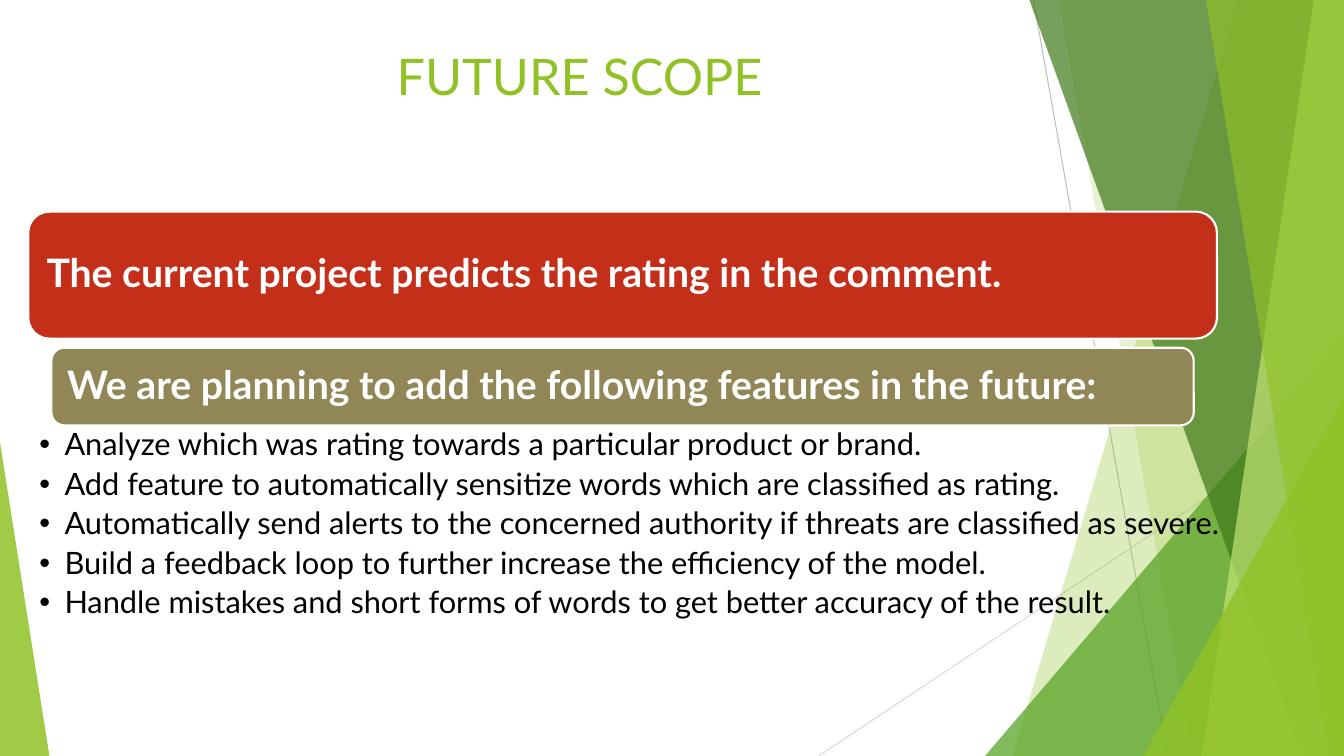
"""Build the "Future scope" slide with its faceted green backdrop."""
from dataclasses import dataclass

from lxml.etree import SubElement
from pptx import Presentation
from pptx.dml.color import RGBColor
from pptx.enum.shapes import MSO_CONNECTOR, MSO_SHAPE
from pptx.enum.text import MSO_ANCHOR, MSO_AUTO_SIZE, PP_ALIGN
from pptx.oxml.ns import qn
from pptx.shapes.autoshape import Shape
from pptx.slide import Slide
from pptx.text.text import TextFrame, _Paragraph
from pptx.util import Emu, Pt

PX = 9144
WIDTH, HEIGHT = 1333, 750
FONT = "Lato"

WHITE = RGBColor(0xFF, 0xFF, 0xFF)
BLACK = RGBColor(0x00, 0x00, 0x00)
GREEN = RGBColor(0x90, 0xC2, 0x26)
LEAF = RGBColor(0x54, 0xA0, 0x21)
FOREST = RGBColor(0x3F, 0x78, 0x19)
LIME = RGBColor(0xC0, 0xE4, 0x74)
RED = RGBColor(0xC4, 0x2F, 0x1A)
OLIVE = RGBColor(0x91, 0x86, 0x55)
GREY = RGBColor(0xBF, 0xBF, 0xBF)
PALE_GREY = RGBColor(0xD9, 0xD9, 0xD9)


@dataclass(frozen=True)
class Ray:
    x1: int
    y1: int
    x2: int
    y2: int
    color: RGBColor


@dataclass(frozen=True)
class Facet:
    """A band from the right edge to a slanted left side."""
    top_x: int
    bottom_x: int
    color: RGBColor
    alpha: int


@dataclass(frozen=True)
class Wedge:
    """A right triangle standing on the bottom edge."""
    left: int
    top: int
    width: int
    apex: int
    color: RGBColor
    alpha: int


@dataclass(frozen=True)
class Banner:
    left: int
    top: int
    width: int
    height: int
    color: RGBColor
    text: str


RAYS = [
    Ray(1025, 0, 1158, HEIGHT, GREY),
    Ray(WIDTH, 403, 812, HEIGHT, PALE_GREY),
]
BACKDROP = [
    Facet(1228, 1004, GREEN, 30),
    Facet(1050, 1183, GREEN, 20),
    Wedge(977, 333, 356, 1, LEAF, 72),
    Facet(1021, 1291, FOREST, 70),
    Facet(1303, 1192, LIME, 70),
    Facet(1196, 1318, GREEN, 65),
    Wedge(1134, 393, 199, 1, GREEN, 80),
    Wedge(0, 439, 49, 0, GREEN, 85),
]
BANNERS = [
    Banner(28, 210, 1179, 126, RED,
           "The current project predicts the rating in the comment."),
    Banner(51, 345, 1133, 77, OLIVE,
           "We are planning to add the following features in the future:"),
]
FEATURES = [
    "Analyze which was rating towards a particular product or brand.",
    "Add feature to automatically sensitize words which are classified as rating.",
    "Automatically send alerts to the concerned authority if threats are classified as severe.",
    "Build a feedback loop to further increase the efficiency of the model.",
    "Handle mistakes and short forms of words to get better accuracy of the result.",
]


def px(*values: int) -> list[Emu]:
    return [Emu(value * PX) for value in values]


def set_frame(tf: TextFrame, anchor: MSO_ANCHOR, *insets: int) -> None:
    tf.word_wrap = True
    tf.auto_size = MSO_AUTO_SIZE.NONE
    tf.vertical_anchor = anchor
    tf.margin_left, tf.margin_top, tf.margin_right, tf.margin_bottom = px(*insets)


def add_run(p: _Paragraph, text: str, size: int, color: RGBColor, bold: bool = False) -> None:
    r = p.add_run()
    r.text = text
    r.font.name = FONT
    r.font.size = Pt(size)
    r.font.bold = bold
    r.font.color.rgb = color


def paint(sp: Shape, color: RGBColor, alpha: int = 100) -> None:
    sp.shadow.inherit = False
    sp.fill.solid()
    sp.fill.fore_color.rgb = color
    sp.line.fill.background()
    if alpha < 100:
        clr = sp.fill._xPr.find(qn("a:solidFill"))[0]
        SubElement(clr, qn("a:alpha"), val=str(alpha * 1000))


def add_ray(s: Slide, ray: Ray) -> None:
    line = s.shapes.add_connector(
        MSO_CONNECTOR.STRAIGHT, *px(ray.x1, ray.y1, ray.x2, ray.y2))
    line.line.color.rgb = ray.color
    line.line.width = Pt(0.75)
    SubElement(line._element.spPr, qn("a:effectLst"))


def add_facet(s: Slide, facet: Facet) -> None:
    outline = s.shapes.build_freeform(facet.top_x, 0, scale=PX)
    outline.add_line_segments([(WIDTH, 0), (WIDTH, HEIGHT), (facet.bottom_x, HEIGHT)])
    paint(outline.convert_to_shape(), facet.color, facet.alpha)


def add_wedge(s: Slide, wedge: Wedge) -> None:
    sp = s.shapes.add_shape(
        MSO_SHAPE.ISOSCELES_TRIANGLE,
        *px(wedge.left, wedge.top, wedge.width, HEIGHT - wedge.top))
    sp.adjustments[0] = wedge.apex
    paint(sp, wedge.color, wedge.alpha)


def add_banner(s: Slide, banner: Banner) -> None:
    sp = s.shapes.add_shape(
        MSO_SHAPE.ROUNDED_RECTANGLE,
        *px(banner.left, banner.top, banner.width, banner.height))
    paint(sp, banner.color)
    sp.line.color.rgb = WHITE
    sp.line.width = Pt(1.5)
    set_frame(sp.text_frame, MSO_ANCHOR.MIDDLE, 12, 12, 12, 12)
    p = sp.text_frame.paragraphs[0]
    p.alignment = PP_ALIGN.LEFT
    p.line_spacing = 0.9
    add_run(p, banner.text, 28, WHITE, bold=True)


def add_features(s: Slide, features: list[str]) -> None:
    tf = s.shapes.add_textbox(*px(0, 422, 1234, 244)).text_frame
    set_frame(tf, MSO_ANCHOR.TOP, 39, 4, 22, 4)
    for i, feature in enumerate(features):
        p = tf.add_paragraph() if i else tf.paragraphs[0]
        p.line_spacing = 0.9
        p.space_after = Pt(4.4)
        pPr = p._p.get_or_add_pPr()
        pPr.set("marL", str(25 * PX))
        pPr.set("indent", str(-25 * PX))
        SubElement(pPr, qn("a:buFont"), typeface="Arial")
        SubElement(pPr, qn("a:buChar"), char="•")
        add_run(p, feature, 22, BLACK)


def set_title(s: Slide, text: str) -> None:
    title = s.shapes.title
    title.left, title.top, title.width, title.height = px(0, 40, 1150, 145)
    set_frame(title.text_frame, MSO_ANCHOR.TOP, 10, 5, 10, 5)
    p = title.text_frame.paragraphs[0]
    p.alignment = PP_ALIGN.CENTER
    add_run(p, text, 36, GREEN)


def main() -> None:
    prs = Presentation()
    prs.slide_width, prs.slide_height = px(WIDTH, HEIGHT)
    s = prs.slides.add_slide(prs.slide_layouts[5])
    set_title(s, "FUTURE SCOPE")
    for ray in RAYS:
        add_ray(s, ray)
    for part in BACKDROP:
        if isinstance(part, Facet):
            add_facet(s, part)
        else:
            add_wedge(s, part)
    for banner in BANNERS:
        add_banner(s, banner)
    add_features(s, FEATURES)
    prs.save("out.pptx")


if __name__ == "__main__":
    main()
